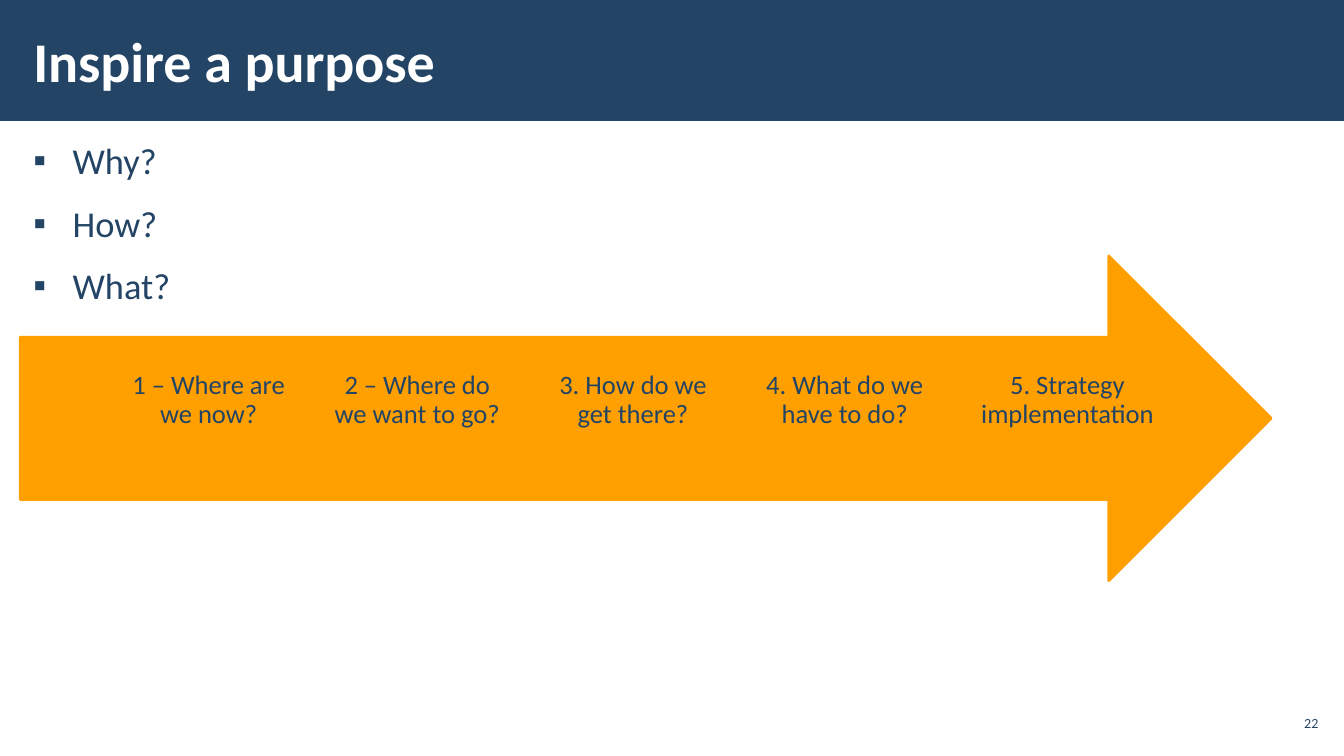
from dataclasses import dataclass

from lxml.etree import SubElement
from pptx import Presentation
from pptx.dml.color import RGBColor
from pptx.enum.shapes import MSO_SHAPE as Shape
from pptx.enum.text import MSO_ANCHOR as Anchor, MSO_AUTO_SIZE as AutoSize, PP_ALIGN as Align
from pptx.oxml.ns import qn
from pptx.util import Pt

NAVY = RGBColor(0x23, 0x44, 0x65)
AMBER = RGBColor(0xFF, 0xA0, 0x00)
WHITE = RGBColor(0xFF, 0xFF, 0xFF)
FONT = "Calibri"
BULLET_INDENT = 28.08


@dataclass(frozen=True)
class Step:
    text: str
    left: float


STEPS = [
    Step("1 – Where are we now?", 85.7),
    Step("2 – Where do we want to go?", 234.7),
    Step("3. How do we get there?", 388.8),
    Step("4. What do we have to do?", 540),
    Step("5. Strategy implementation", 699.1),
]
QUESTIONS = ["Why?", "How?", "What?"]


def place(shape, left: float, top: float, width: float, height: float) -> None:
    shape.left, shape.top = Pt(left), Pt(top)
    shape.width, shape.height = Pt(width), Pt(height)


def prepare_frame(frame, side: float, edge: float, anchor: Anchor) -> None:
    """Set the insets, wrapping and anchor of a text frame."""
    frame.margin_left = frame.margin_right = Pt(side)
    frame.margin_top = frame.margin_bottom = Pt(edge)
    frame.word_wrap = True
    frame.auto_size = AutoSize.NONE
    frame.vertical_anchor = anchor


def add_span(para, text: str, size: float, color: RGBColor = NAVY, bold: bool = False) -> None:
    span = para.add_run()
    span.text = text
    span.font.name = FONT
    span.font.size = Pt(size)
    span.font.bold = bold
    span.font.color.rgb = color


def add_filled_shape(slide, kind: Shape, bounds: tuple, color: RGBColor):
    shape = slide.shapes.add_shape(kind, *map(Pt, bounds))
    shape.shadow.inherit = False
    shape.fill.solid()
    shape.fill.fore_color.rgb = color
    shape.line.fill.background()
    return shape


def add_bullet(para) -> None:
    properties = para._p.get_or_add_pPr()
    properties.set("marL", str(Pt(BULLET_INDENT)))
    properties.set("indent", str(-Pt(BULLET_INDENT)))
    SubElement(properties, qn("a:buFont"), typeface="Arial")
    SubElement(properties, qn("a:buChar"), char="▪")


def fill_title(title) -> None:
    place(title, 15.1, 7.9, 765.4, 69.8)
    prepare_frame(title.text_frame, 8.64, 2.88, Anchor.MIDDLE)
    para = title.text_frame.paragraphs[0]
    para.alignment = Align.LEFT
    add_span(para, "Inspire a purpose", 40, WHITE, bold=True)


def fill_questions(body) -> None:
    place(body, 15.1, 94.3, 930.2, 435.6)
    frame = body.text_frame
    prepare_frame(frame, 8.64, 2.88, Anchor.TOP)
    for index, question in enumerate(QUESTIONS):
        para = frame.add_paragraph() if index else frame.paragraphs[0]
        add_bullet(para)
        para.line_spacing = 1.05
        para.space_before = Pt(6 if index else 0)
        para.space_after = Pt(6)
        add_span(para, question, 26)


def add_step(slide, step: Step) -> None:
    box = slide.shapes.add_textbox(Pt(step.left), Pt(249.1), Pt(126.7), Pt(73.4))
    prepare_frame(box.text_frame, 0, 15.1, Anchor.MIDDLE)
    para = box.text_frame.paragraphs[0]
    para.alignment = Align.CENTER
    para.line_spacing = 0.9
    para.space_after = Pt(6.65)
    add_span(para, step.text, 19)


def add_page_number(slide) -> None:
    box = slide.shapes.add_textbox(Pt(910.8), Pt(504), Pt(33.8), Pt(24.5))
    prepare_frame(box.text_frame, 2.88, 2.88, Anchor.MIDDLE)
    para = box.text_frame.paragraphs[0]
    para.alignment = Align.RIGHT
    add_span(para, "22", 10)


def main() -> None:
    deck = Presentation()
    deck.slide_width, deck.slide_height = Pt(960), Pt(540)
    slide = deck.slides.add_slide(deck.slide_layouts[1])
    title, body = slide.shapes.title, slide.placeholders[1]

    band = add_filled_shape(slide, Shape.RECTANGLE, (0, 0, 960, 86.4), NAVY)
    title.element.addprevious(band.element)
    fill_title(title)
    fill_questions(body)
    add_page_number(slide)

    arrow = add_filled_shape(slide, Shape.RIGHT_ARROW, (14.4, 182.9, 893.5, 231.8), AMBER)
    arrow.line.color.rgb = AMBER
    arrow.line.width = Pt(2)
    for step in STEPS:
        add_step(slide, step)

    deck.save("out.pptx")


if __name__ == "__main__":
    main()
